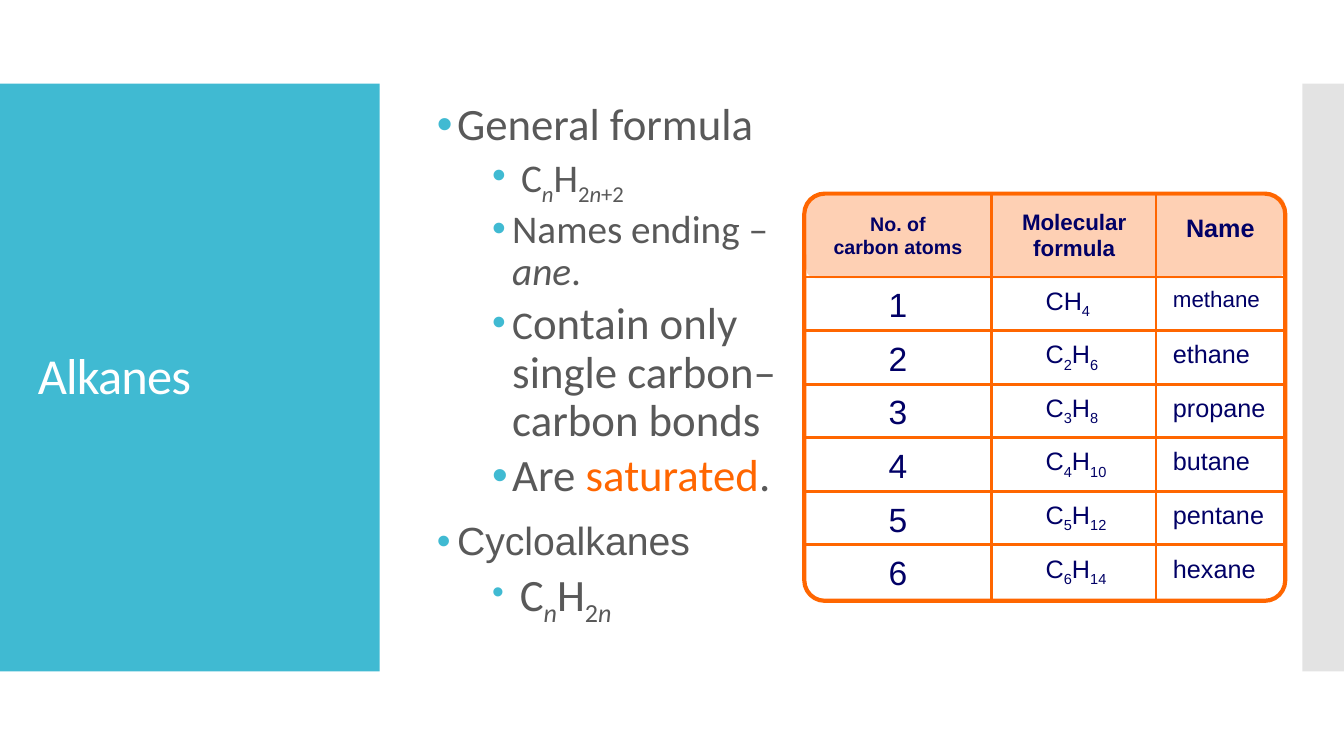
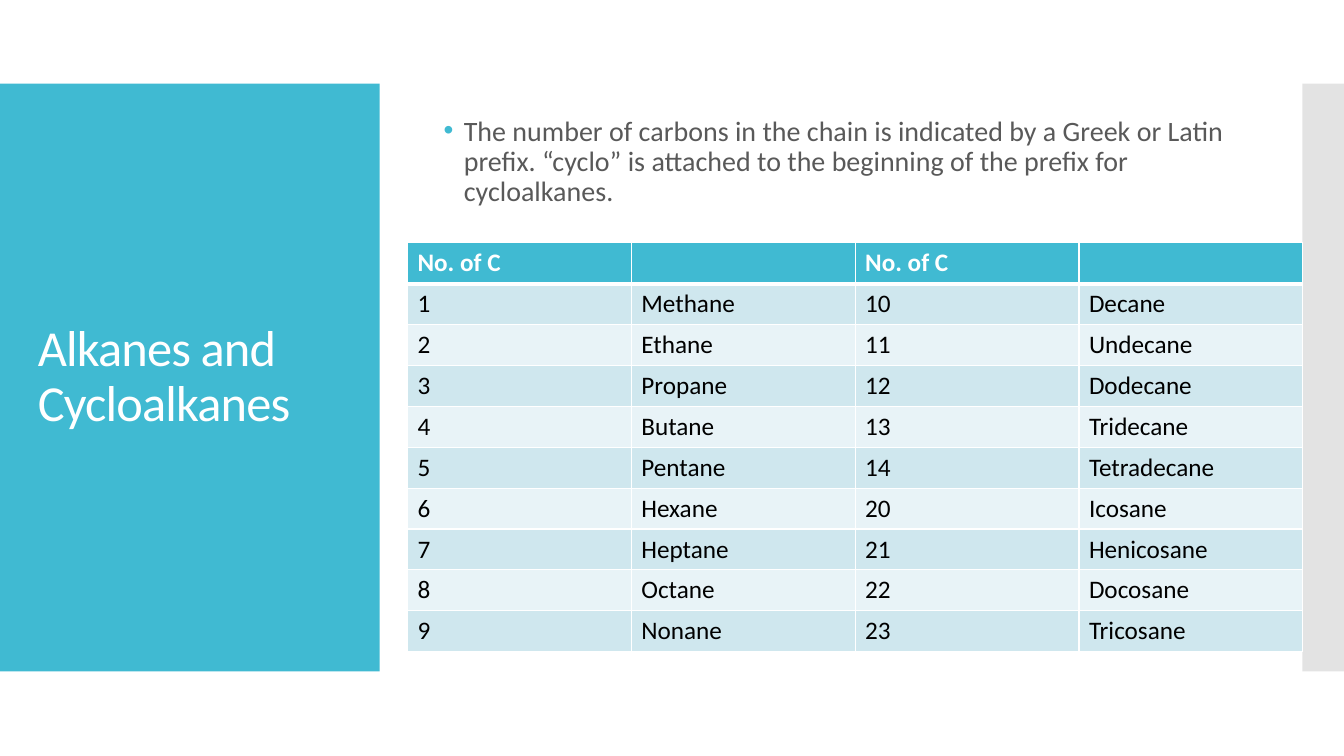
import itertools
import pptx
import pptx.dml.color
import pptx.enum.shapes
import pptx.enum.text
import pptx.oxml
import pptx.oxml.ns
import pptx.util

Cm = pptx.util.Cm
Pt = pptx.util.Pt
hue = pptx.dml.color.RGBColor.from_string
kinds = pptx.enum.shapes.MSO_SHAPE
sides = pptx.enum.text.PP_ALIGN
anchor = pptx.enum.text.MSO_ANCHOR
tag = pptx.oxml.ns.qn
space = pptx.oxml.ns.nsdecls("a")

TEAL, GREY, WHITE, BLACK = "40BAD2", "595959", "FFFFFF", "000000"
ORANGE, PEACH, NAVY = "FF6600", "FED0B4", "010066"


def put(para, text, size=18, color=GREY, face="Calibri", bold=False,
        slant=False, sub=False, track=0):
    for num, part in enumerate(text.split("\n")):
        if num:
            para.add_line_break()
        run = para.add_run()
        run.text = part
        font = run.font
        font.name, font.size = face, Pt(size)
        font.bold, font.italic = bold, slant
        font.color.rgb = hue(color)
        props = run._r.get_or_add_rPr()
        if sub:
            props.set("baseline", "-25000")
        if track:
            props.set("spc", str(track))


def edge(cell, color=WHITE, width=1, base=1):
    props = cell._tc.get_or_add_tcPr()
    for side in "LRTB":
        size = base if side == "B" else width
        fill = f'<a:solidFill><a:srgbClr val="{color}"/></a:solidFill>' if size else "<a:noFill/>"
        props.append(pptx.oxml.parse_xml(
            f'<a:ln{side} {space} w="{Pt(size)}">{fill}</a:ln{side}>'))


first = [
    (0, [("General formula", dict(size=32))]),
    (1, [(" C", {}), ("n", dict(slant=True, sub=True)), ("H", {}),
         ("2", dict(sub=True)), ("n", dict(slant=True, sub=True)),
         ("+2", dict(sub=True))]),
    (1, [("Names ending –", {}), ("ane", dict(slant=True)), (".", {})]),
    (1, [("C", {}), ("ontain only single carbon–carbon bonds", dict(size=32))]),
    (1, [("Are ", dict(size=32)), ("saturated", dict(size=32, color=ORANGE)),
         (".", dict(size=32))]),
    (0, [("Cycloalkanes", dict(face="Arial"))]),
    (1, [(" ", dict(size=24)), ("C", dict(size=32)),
         ("n", dict(size=32, slant=True, sub=True)), ("H", dict(size=32)),
         ("2", dict(size=32, sub=True)),
         ("n", dict(size=32, slant=True, sub=True))]),
]
second = [
    (0, [("The number of carbons in the chain is indicated by a Greek or Latin "
          "prefix. “cyclo” is attached to the beginning of the prefix for "
          "cycloalkanes.", dict(size=20))]),
]
pages = [
    ("Alkanes", (10.76, 2.45, 9.96, 14), first),
    ("Alkanes and Cycloalkanes", (10.93, 2.82, 20.32, 3), second),
]

deck = pptx.Presentation()
deck.slide_width, deck.slide_height = Cm(33.87), Cm(19.05)

for head, place, items in pages:
    slide = deck.slides.add_slide(deck.slide_layouts[5])
    for left, wide, color in [(0, 9.57, TEAL), (32.82, 1.05, "C8C8C8")]:
        band = slide.shapes.add_shape(
            kinds.RECTANGLE, Cm(left), Cm(2.11), Cm(wide), Cm(14.81))
        band.shadow.inherit = False
        band.fill.solid()
        band.fill.fore_color.rgb = hue(color)
        band.line.fill.background()
        band.element.getparent().insert(2, band.element)
        if color != TEAL:
            tint = band.element.spPr.find(".//" + tag("a:srgbClr"))
            tint.append(pptx.oxml.parse_xml(f'<a:alpha {space} val="50000"/>'))

    title = slide.shapes.title
    title.left, title.top = Cm(0.7), Cm(3.13)
    title.width, title.height = Cm(8.18), Cm(12.78)
    frame = title.text_frame
    frame.word_wrap = True
    frame.auto_size = pptx.enum.text.MSO_AUTO_SIZE.NONE
    frame.vertical_anchor = anchor.MIDDLE
    para = frame.paragraphs[0]
    para.alignment, para.line_spacing = sides.LEFT, 0.9
    put(para, head, size=36, color=WHITE, track=-60)

    frame = slide.shapes.add_textbox(*map(Cm, place)).text_frame
    frame.word_wrap = True
    for num, (level, runs) in enumerate(items):
        para = frame.add_paragraph() if num else frame.paragraphs[0]
        para.level, para.line_spacing = level, 0.9
        para.space_before = Pt(2.5 if level else 12)
        para.space_after = Pt(2.5 if level else 0)
        props = para._p.get_or_add_pPr()
        props.set("marL", str(Cm(1.9 if level else 0.51)))
        props.set("indent", str(Cm(-0.51)))
        for xml in (f'<a:buClr {space}><a:srgbClr val="{TEAL}"/></a:buClr>',
                    f'<a:buFont {space} typeface="Arial"/>',
                    f'<a:buChar {space} char="•"/>'):
            props.append(pptx.oxml.parse_xml(xml))
        for text, form in runs:
            put(para, text, **{"size": 28, **form})

shapes = deck.slides[0].shapes
panel = shapes.add_shape(
    kinds.ROUNDED_RECTANGLE, Cm(20.32), Cm(4.93), Cm(12.06), Cm(2.08))
panel.adjustments[0] = 0.11
panel.shadow.inherit = False
panel.fill.solid()
panel.fill.fore_color.rgb = hue(PEACH)
panel.line.fill.background()

rows = [
    ("No. of\ncarbon atoms", "Molecular\nformula", "Name"),
    ("1", "CH4", "methane"),
    ("2", "C2H6", "ethane"),
    ("3", "C3H8", "propane"),
    ("4", "C4H10", "butane"),
    ("5", "C5H12", "pentane"),
    ("6", "C6H14", "hexane"),
]
table = shapes.add_table(
    7, 3, Cm(20.26), Cm(4.88), Cm(12.11), Cm(10.21)).table
table.first_row = table.horz_banding = False
for col, wide in zip(table.columns, (4.74, 4.14, 3.23)):
    col.width = Cm(wide)
for r, row in enumerate(rows):
    table.rows[r].height = Cm(1.35 if r else 2.11)
    for c, text in enumerate(row):
        cell = table.cell(r, c)
        edge(cell, width=0, base=0)
        cell.fill.background()
        para = cell.text_frame.paragraphs[0]
        form = dict(color=NAVY, face="Arial")
        if r == 0:
            para.alignment = sides.CENTER
            if c < 2:
                cell.vertical_anchor = anchor.MIDDLE
                para.line_spacing = 1.05
            else:
                cell.margin_top = Cm(0.53)
            put(para, text, size=(14, 16, 18)[c], bold=True, **form)
            continue
        cell.margin_top, cell.margin_bottom = Cm(0.25), Cm(0)
        if c == 0:
            para.alignment = sides.CENTER
            put(para, text, size=24, **form)
        elif c == 1:
            cell.margin_left = Cm(1.35)
            for low, part in itertools.groupby(text, str.isdigit):
                put(para, "".join(part), sub=low, **form)
        else:
            cell.margin_left, cell.margin_right = Cm(0.42), Cm(0)
            put(para, text, size=16 if r == 1 else 18, **form)

border = shapes.add_shape(
    kinds.ROUNDED_RECTANGLE, Cm(20.27), Cm(4.88), Cm(12.12), Cm(10.26))
border.adjustments[0] = 0.05
border.shadow.inherit = False
border.fill.background()
border.line.color.rgb = hue(ORANGE)
border.line.width = Pt(3)

rules = [(20.25, 6.98 + 1.35 * n, 32.37, 6.98 + 1.35 * n) for n in range(6)]
rules += [(x, 4.88, x, 15.14) for x in (24.99, 29.13)]
for ends in rules:
    line = shapes.add_connector(
        pptx.enum.shapes.MSO_CONNECTOR.STRAIGHT, *map(Cm, ends))
    line.line.color.rgb = hue(ORANGE)
    line.line.width = Pt(2)
    line.element.spPr.append(pptx.oxml.parse_xml(f"<a:effectLst {space}/>"))

names = [
    ("No. of C", "", "No. of C", ""),
    ("1", "Methane", "10", "Decane"),
    ("2", "Ethane", "11", "Undecane"),
    ("3", "Propane", "12", "Dodecane"),
    ("4", "Butane", "13", "Tridecane"),
    ("5", "Pentane", "14", "Tetradecane"),
    ("6", "Hexane", "20", "Icosane"),
    ("7", "Heptane", "21", "Henicosane"),
    ("8", "Octane", "22", "Docosane"),
    ("9", "Nonane", "23", "Tricosane"),
]
table = deck.slides[1].shapes.add_table(
    10, 4, Cm(10.27), Cm(6.12), Cm(22.56), Cm(10.3)).table
for col in table.columns:
    col.width = Cm(5.64)
for r, row in enumerate(names):
    table.rows[r].height = Cm(1.03)
    for c, text in enumerate(row):
        cell = table.cell(r, c)
        edge(cell, base=1 if r else 3)
        cell.fill.solid()
        cell.fill.fore_color.rgb = hue(
            TEAL if r == 0 else "CFE7EE" if r % 2 else "E8F3F7")
        if text:
            put(cell.text_frame.paragraphs[0], text, bold=r == 0,
                color=BLACK if r else WHITE)

deck.save("out.pptx")
